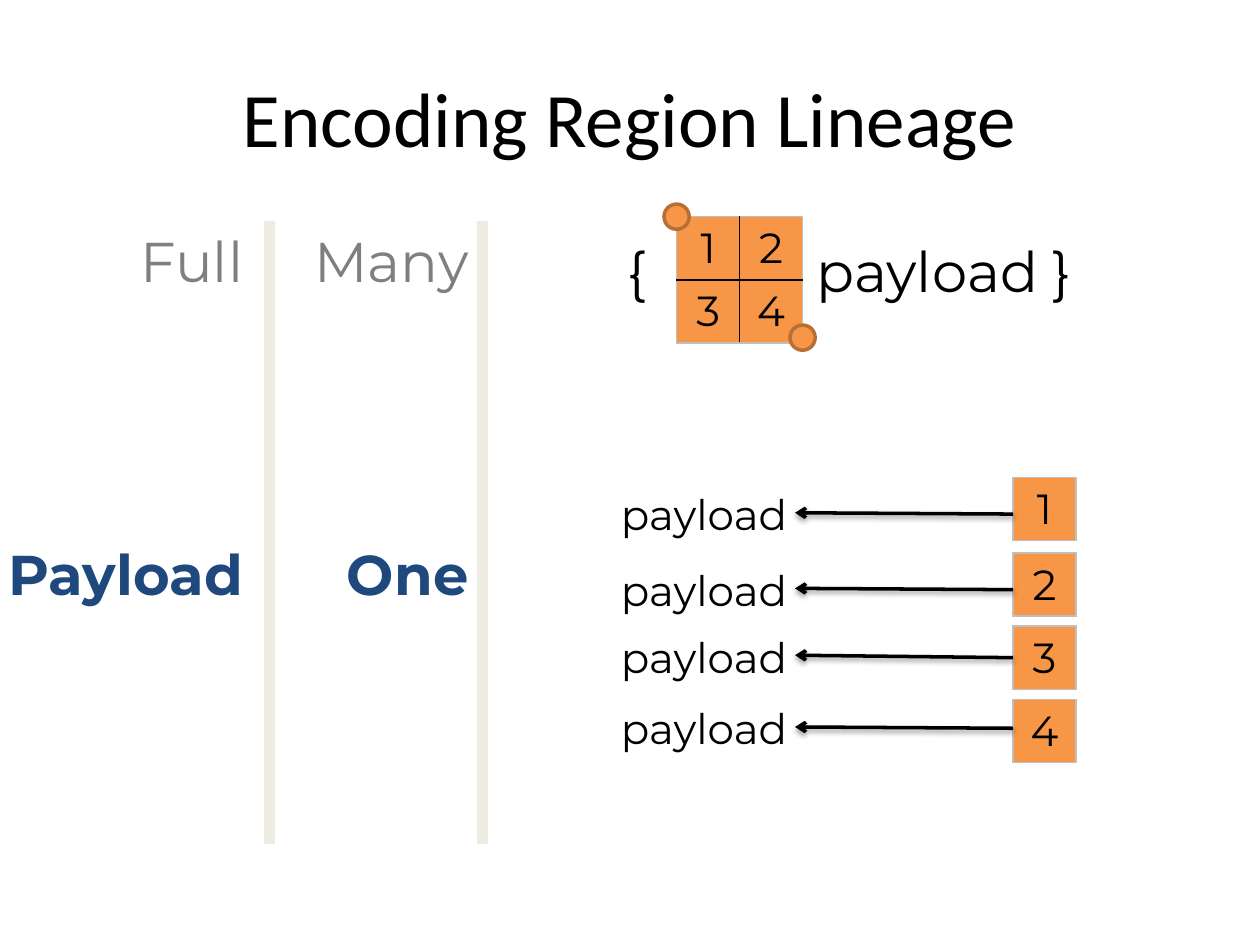
from typing import NamedTuple

from lxml import etree
from pptx import Presentation
from pptx.dml.color import RGBColor
from pptx.enum.shapes import MSO_CONNECTOR, MSO_SHAPE
from pptx.enum.text import MSO_ANCHOR, MSO_AUTO_SIZE, PP_ALIGN
from pptx.oxml import parse_xml
from pptx.oxml.ns import nsdecls, qn
from pptx.util import Pt

PX = 9144  # 100 px to the inch
STRAIGHT, OVAL = MSO_CONNECTOR.STRAIGHT, MSO_SHAPE.OVAL
LEFT, CENTER, RIGHT = PP_ALIGN.LEFT, PP_ALIGN.CENTER, PP_ALIGN.RIGHT
MIDDLE, NO_FIT = MSO_ANCHOR.MIDDLE, MSO_AUTO_SIZE.NONE

BLACK = RGBColor(0x00, 0x00, 0x00)
GRAY = RGBColor(0x7F, 0x7F, 0x7F)
NAVY = RGBColor(0x1F, 0x49, 0x7D)
CREAM = RGBColor(0xEE, 0xEC, 0xE1)
ORANGE = RGBColor(0xF7, 0x96, 0x46)
BROWN = RGBColor(0xB7, 0x6F, 0x34)
EDGE = RGBColor(0xBF, 0xBF, 0xBF)

CELL = 50
DOT = 20
FONT = "Montserrat"


class Column(NamedTuple):
    left: int
    width: int
    muted: str
    strong: str


class Mapping(NamedTuple):
    label: str
    cell_top: int
    arrow_start: int
    arrow_end: int
    text_top: int


COLUMNS = [Column(-57, 260, "Full", "Payload"), Column(236, 146, "Many", "One")]
DIVIDERS = [214, 383]
MAPPINGS = [
    Mapping("1", 379, 408, 407, 383),
    Mapping("2", 439, 468, 467, 443),
    Mapping("3", 497, 522, 520, 496),
    Mapping("4", 555, 578, 577, 553),
]


def place(shape, left: int, top: int, width: int, height: int) -> None:
    shape.left, shape.top = left * PX, top * PX
    shape.width, shape.height = width * PX, height * PX


def add_span(para, text: str, size: int, color: RGBColor = BLACK,
             bold: bool = False, font: str = FONT) -> None:
    span = para.add_run()
    span.text = text
    span.font.name, span.font.size = font, Pt(size)
    span.font.bold, span.font.color.rgb = bold, color


def fill_column(box, column: Column) -> None:
    place(box, column.left, 175, column.width, 495)
    frame = box.text_frame
    frame.auto_size = NO_FIT
    entries = [(column.muted, GRAY, False, 0), (column.strong, NAVY, True, 140)]
    for index, (text, color, bold, gap) in enumerate(entries):
        para = frame.add_paragraph() if index else frame.paragraphs[0]
        para.alignment, para.space_before = RIGHT, Pt(gap)
        props = para._p.get_or_add_pPr()
        props.set("marL", "0")
        props.set("indent", "0")
        etree.SubElement(props, qn("a:buNone"))
        add_span(para, text, 32, color, bold)


def add_line(page, start: tuple[int, int], end: tuple[int, int],
             color: RGBColor, weight: int, arrow: bool = False) -> None:
    line = page.shapes.add_connector(
        STRAIGHT, *(value * PX for value in (*start, *end)))
    line.line.color.rgb, line.line.width = color, Pt(weight)
    effects = etree.SubElement(line._element.spPr, qn("a:effectLst"))
    if arrow:
        etree.SubElement(line.line._get_or_add_ln(), qn("a:tailEnd"), type="arrow")
        effects.append(parse_xml(
            f'<a:outerShdw {nsdecls("a")} blurRad="39370" dist="20320" '
            'dir="5400000" rotWithShape="0"><a:srgbClr val="000000">'
            '<a:alpha val="38000"/></a:srgbClr></a:outerShdw>'))


def add_text(page, left: int, top: int, width: int, height: int,
             text: str, size: int):
    box = page.shapes.add_textbox(0, 0, 0, 0)
    place(box, left, top, width, height)
    box.text_frame.word_wrap = True
    para = box.text_frame.paragraphs[0]
    para.alignment = LEFT
    add_span(para, text, size)
    return para


def set_border(cell, side: str, color: RGBColor) -> None:
    cell._tc.get_or_add_tcPr().append(parse_xml(
        f'<a:{side} {nsdecls("a")} w="12700"><a:solidFill>'
        f'<a:srgbClr val="{color}"/></a:solidFill></a:{side}>'))


def add_grid(page, left: int, top: int, labels: list[str]) -> None:
    rows, columns = len(labels), len(labels[0])
    grid = page.shapes.add_table(rows, columns, left * PX, top * PX,
                                 columns * CELL * PX, rows * CELL * PX).table
    grid.first_row = grid.horz_banding = False
    for column in grid.columns:
        column.width = CELL * PX
    for r, row in enumerate(labels):
        for c, label in enumerate(row):
            cell = grid.cell(r, c)
            # Inner edges are black, outer edges gray
            inner = {"lnL": c > 0, "lnR": c < columns - 1,
                     "lnT": r > 0, "lnB": r < rows - 1}
            for side, is_inner in inner.items():
                set_border(cell, side, BLACK if is_inner else EDGE)
            cell.fill.solid()
            cell.fill.fore_color.rgb = ORANGE
            cell.vertical_anchor = MIDDLE
            para = cell.text_frame.paragraphs[0]
            para.alignment = CENTER
            add_span(para, label, 24)


def add_dot(page, left: int, top: int) -> None:
    dot = page.shapes.add_shape(OVAL, left * PX, top * PX, DOT * PX, DOT * PX)
    dot.shadow.inherit = False
    dot.fill.solid()
    dot.fill.fore_color.rgb = ORANGE
    dot.line.color.rgb, dot.line.width = BROWN, Pt(2)


def main() -> None:
    deck = Presentation()
    deck.slide_width, deck.slide_height = 1000 * PX, 750 * PX
    page = deck.slides.add_slide(deck.slide_layouts[3])

    # Title
    title = page.shapes.title
    place(title, 50, 30, 900, 125)
    title.text_frame.vertical_anchor = MIDDLE
    heading = title.text_frame.paragraphs[0]
    heading.alignment = CENTER
    add_span(heading, "Encoding Region Lineage", 44, font="Calibri")

    # Encoding columns and their dividers
    for index, column in enumerate(COLUMNS, start=1):
        fill_column(page.placeholders[index], column)
    for x in DIVIDERS:
        add_line(page, (x, 175), (x, 670), CREAM, 6)

    # Region as a whole, the tab leaves room for the grid
    para = add_text(page, 488, 183, 415, 64, "{\tpayload }", 32)
    tabs = etree.SubElement(para._p.get_or_add_pPr(), qn("a:tabLst"))
    etree.SubElement(tabs, qn("a:tab"), pos=str(150 * PX), algn="l")
    add_grid(page, 537, 172, ["12", "34"])
    for left, top in [(527, 162), (627, 258)]:
        add_dot(page, left, top)

    # One payload for each cell
    for mapping in MAPPINGS:
        add_grid(page, 804, mapping.cell_top, [mapping.label])
        add_line(page, (804, mapping.arrow_start), (631, mapping.arrow_end),
                 BLACK, 2, arrow=True)
        add_text(page, 483, mapping.text_top, 153, 50, "payload", 24)

    deck.save("out.pptx")


if __name__ == "__main__":
    main()
